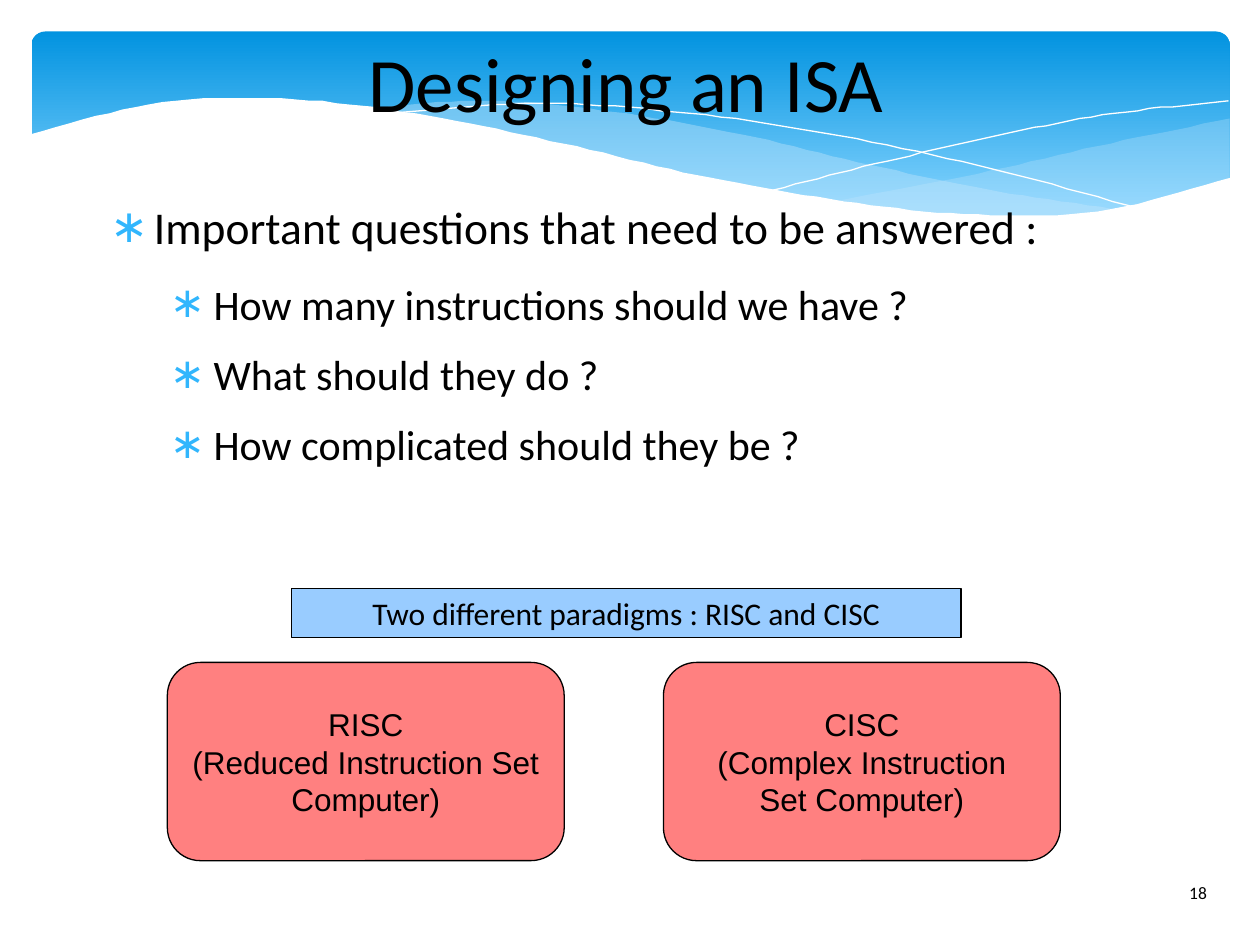
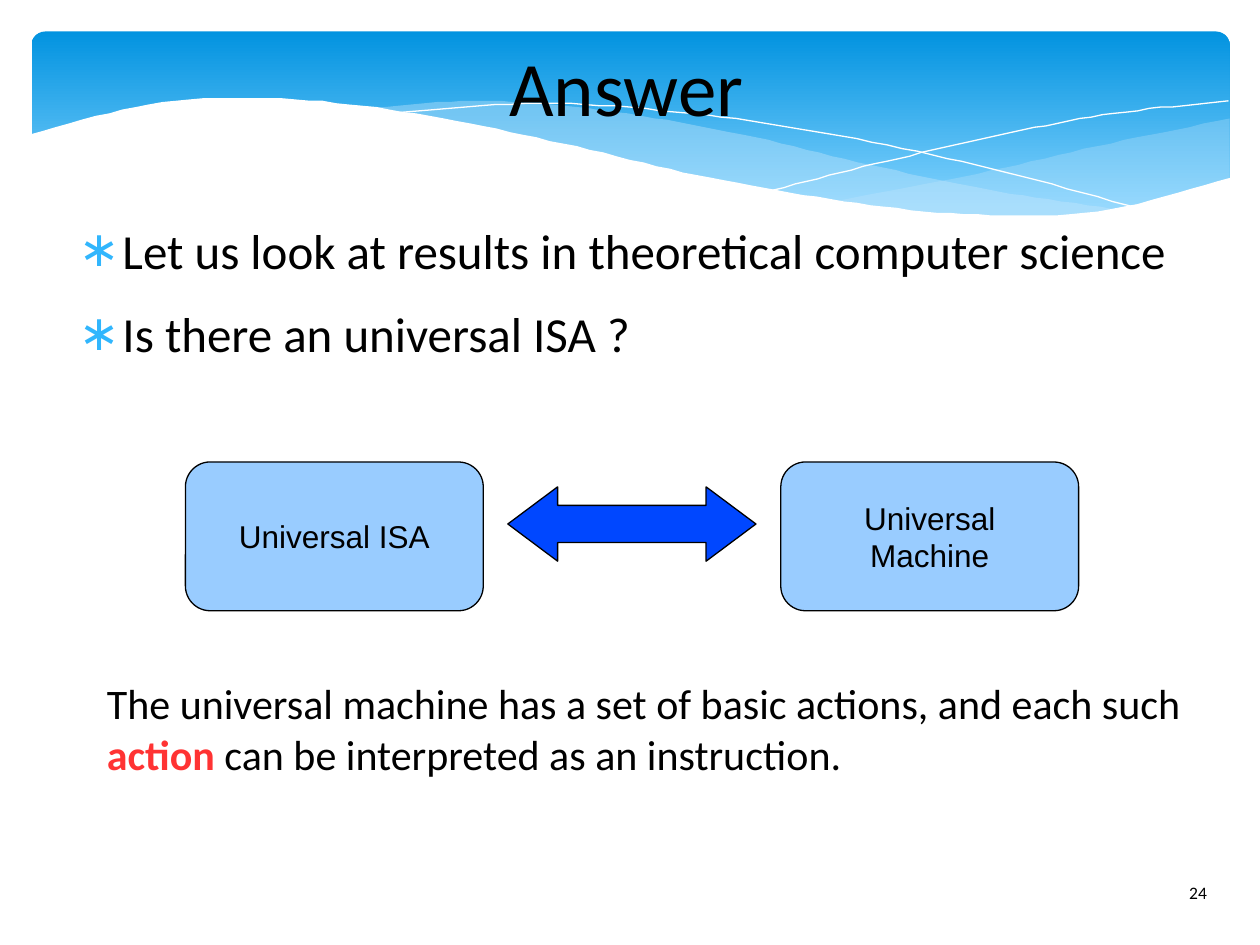
"""Build two lecture slides on instruction set design with a shared wave header."""
from dataclasses import dataclass
from typing import Any, Optional

from lxml import etree
from pptx import Presentation
from pptx.dml.color import RGBColor
from pptx.enum.shapes import MSO_SHAPE
from pptx.enum.text import MSO_ANCHOR, MSO_AUTO_SIZE, PP_ALIGN
from pptx.oxml.ns import qn
from pptx.util import Pt

BLACK = RGBColor(0x00, 0x00, 0x00)
WHITE = RGBColor(0xFF, 0xFF, 0xFF)
BAND_TOP = RGBColor(0x02, 0x93, 0xE0)
BAND_BOTTOM = RGBColor(0x83, 0xD3, 0xFE)
WAVE = RGBColor(0xC6, 0xE7, 0xFC)
BULLET = RGBColor(0x31, 0xB6, 0xFD)
PALE_BLUE = RGBColor(0x99, 0xCC, 0xFF)
SALMON = RGBColor(0xFF, 0x80, 0x80)
ARROW_BLUE = RGBColor(0x00, 0x47, 0xFF)
RED = RGBColor(0xFF, 0x33, 0x33)

HEADING_FONT = "Calibri"
BOX_FONT = "Arial"
HAIRLINE = Pt(0)
WAVE_UNIT = Pt(0.72)
CURVE_STEPS = 10
NO_INSETS = (0, 0, 0, 0)
INSETS = (7.2, 3.6, 7.2, 3.6)


@dataclass(frozen=True)
class Frame:
    left: float
    top: float
    width: float
    height: float

    def lengths(self) -> tuple[Pt, Pt, Pt, Pt]:
        return Pt(self.left), Pt(self.top), Pt(self.width), Pt(self.height)


@dataclass(frozen=True)
class Span:
    text: str
    color: RGBColor = BLACK
    bold: bool = False


@dataclass(frozen=True)
class Para:
    spans: tuple[Span, ...]
    size: float
    font: str = HEADING_FONT
    align: PP_ALIGN = PP_ALIGN.LEFT
    bullet_indent: Optional[float] = None
    space_after: float = 0


@dataclass(frozen=True)
class Wave:
    left: float
    right: float
    heights: tuple[float, ...]
    floor: Optional[float] = None
    fill: RGBColor = WHITE
    opacity: int = 100

    def points(self) -> list[tuple[float, float]]:
        heights = self.heights
        padded = (2 * heights[0] - heights[1], *heights,
                  2 * heights[-1] - heights[-2])
        count = (len(heights) - 1) * CURVE_STEPS
        points = []
        for step in range(count + 1):
            x = self.left + (self.right - self.left) * step / count
            knot = min(step // CURVE_STEPS, len(heights) - 2)
            before, start, end, after = padded[knot:knot + 4]
            t = step / CURVE_STEPS - knot
            bend = 2 * before - 5 * start + 4 * end - after
            twist = 3 * (start - end) + after - before
            y = start + t * (end - before + t * (bend + t * twist)) / 2
            points.append((x, y))
        if self.floor is not None:
            points += [(self.right, self.floor), (self.left, self.floor)]
        return points


WAVES = [
    Wave(661, 976, (160, 140, 116, 94), 172, WAVE, 29),
    Wave(286, 893, (86, 80, 89, 107, 131, 152, 167), 173, WAVE, 40),
    Wave(309, 907, (90, 82, 90, 108, 134, 166)),
    Wave(613, 975, (151, 128, 107, 90, 80)),
    Wave(23, 977, (107, 81, 79, 92, 114, 139, 158, 170, 168, 141), 224),
]


def set_all(target: Any, formats: dict[str, Any]) -> None:
    for name, value in formats.items():
        setattr(target, name, value)


def plain(text: str, size: float, **formats: Any) -> Para:
    return Para((Span(text),), size, **formats)


def bullet(text: str, size: float, level: int = 0) -> Para:
    return plain(text, size, bullet_indent=34 * (level + 1),
                 space_after=11.3 if level else 14.1)


def centred(text: str, size: float = 18, font: str = HEADING_FONT) -> Para:
    return plain(text, size, font=font, align=PP_ALIGN.CENTER)


def add_bullet(para: Any, indent: float) -> None:
    properties = para._p.get_or_add_pPr()
    properties.set("marL", str(Pt(indent)))
    properties.set("indent", str(Pt(-25)))
    color = etree.SubElement(properties, qn("a:buClr"))
    etree.SubElement(color, qn("a:srgbClr"), val=str(BULLET))
    etree.SubElement(properties, qn("a:buFont"), typeface=HEADING_FONT)
    etree.SubElement(properties, qn("a:buChar"), char="∗")


def write(box: Any, paras: list[Para], insets: tuple[float, ...] = INSETS,
          anchor: MSO_ANCHOR = MSO_ANCHOR.TOP) -> None:
    frame = box.text_frame
    left, top, right, bottom = map(Pt, insets)
    set_all(frame, {"word_wrap": True, "auto_size": MSO_AUTO_SIZE.NONE,
                    "vertical_anchor": anchor, "margin_left": left,
                    "margin_top": top, "margin_right": right, "margin_bottom": bottom})
    for index, content in enumerate(paras):
        para = frame.add_paragraph() if index else frame.paragraphs[0]
        set_all(para, {"alignment": content.align, "space_before": Pt(0),
                       "space_after": Pt(content.space_after)})
        if content.bullet_indent is not None:
            add_bullet(para, content.bullet_indent)
        for span in content.spans:
            run = para.add_run()
            run.text = span.text
            set_all(run.font, {"name": content.font, "size": Pt(content.size),
                               "bold": span.bold})
            run.font.color.rgb = span.color


def add_text(page: Any, frame: Frame, paras: list[Para],
             insets: tuple[float, ...] = INSETS) -> None:
    write(page.shapes.add_textbox(*frame.lengths()), paras, insets)


def add_box(page: Any, kind: MSO_SHAPE, frame: Frame, fill: RGBColor,
            paras: Optional[list[Para]] = None) -> Any:
    box = page.shapes.add_shape(kind, *frame.lengths())
    box.shadow.inherit = False
    box.fill.solid()
    box.fill.fore_color.rgb = fill
    box.line.color.rgb = BLACK
    box.line.width = HAIRLINE
    if paras:
        write(box, paras, anchor=MSO_ANCHOR.MIDDLE)
    return box


def add_wave(page: Any, wave: Wave) -> Any:
    start, *rest = wave.points()
    closed = wave.floor is not None
    builder = page.shapes.build_freeform(*start, scale=WAVE_UNIT)
    builder.add_line_segments(rest, close=closed)
    shape = builder.convert_to_shape()
    shape.shadow.inherit = False
    if not closed:
        shape.fill.background()
        shape.line.color.rgb = wave.fill
        shape.line.width = HAIRLINE
        return shape
    shape.fill.solid()
    shape.fill.fore_color.rgb = wave.fill
    shape.line.fill.background()
    if wave.opacity < 100:
        color = shape.element.spPr.find(f".//{qn('a:srgbClr')}")
        etree.SubElement(color, qn("a:alpha"), val=str(wave.opacity * 1000))
    return shape


def add_band(page: Any) -> Any:
    band = page.shapes.add_shape(MSO_SHAPE.ROUNDED_RECTANGLE,
                                 *Frame(18, 18, 684.7, 112.3).lengths())
    band.adjustments[0] = 0.07
    band.shadow.inherit = False
    band.line.fill.background()
    band.fill.gradient()
    band.fill.gradient_angle = 270
    stops = zip(band.fill.gradient_stops, (BAND_TOP, BAND_BOTTOM), (0, 0.9))
    for stop, color, position in stops:
        stop.color.rgb = color
        stop.position = position
    return band


def move_header_to_layout(page: Any, layout: Any) -> None:
    header = [add_band(page)] + [add_wave(page, wave) for wave in WAVES]
    for index, shape in enumerate(header):
        shape.element.nvSpPr.cNvPr.set("id", str(100 + index))
        layout.shapes.element.insert(2 + index, shape.element)


def add_page(deck: Any, title: str, title_top: float, number: int) -> Any:
    page = deck.slides.add_slide(deck.slide_layouts[5])
    left, top, width, height = Frame(66, title_top, 584, 73.4).lengths()
    set_all(page.shapes.title, {"left": left, "top": top,
                                "width": width, "height": height})
    write(page.shapes.title, [centred(title, 44)], NO_INSETS, MSO_ANCHOR.MIDDLE)
    add_text(page, Frame(672.5, 500.4, 44, 28.8), [plain(str(number), 10)])
    return page


def build_design_page(deck: Any) -> Any:
    page = add_page(deck, "Designing an ISA", 10, 18)
    questions = ["How many instructions should we have ?",
                 "What should they do ?",
                 "How complicated should they be ?"]
    add_text(page, Frame(54, 113.8, 569.5, 185.8),
             [bullet("Important questions that need to be answered :", 26)]
             + [bullet(question, 24, 1) for question in questions], NO_INSETS)
    add_box(page, MSO_SHAPE.RECTANGLE, Frame(166.5, 336.2, 382.7, 28.2), PALE_BLUE,
            [centred("Two different paradigms : RISC and CISC")])
    paradigms = [("RISC", "(Reduced Instruction Set", "Computer)"),
                 ("CISC", "(Complex Instruction", "Set Computer)")]
    for index, lines in enumerate(paradigms):
        add_box(page, MSO_SHAPE.ROUNDED_RECTANGLE,
                Frame(95.6 + 283.5 * index, 378.5, 226.8, 113.3), SALMON,
                [centred(line, font=BOX_FONT) for line in lines])
    return page


def build_answer_page(deck: Any) -> Any:
    page = add_page(deck, "Answer", 12.2, 24)
    add_text(page, Frame(36, 126, 660, 115),
             [bullet("Let us look at results in theoretical computer science", 28),
              bullet("Is there an universal ISA ?", 28)], NO_INSETS)
    for index, label in enumerate(["Universal ISA", "Universal Machine"]):
        add_box(page, MSO_SHAPE.ROUNDED_RECTANGLE,
                Frame(106 + 340.2 * index, 264, 170.2, 85), PALE_BLUE,
                [centred(label, font=BOX_FONT)])
    arrow = add_box(page, MSO_SHAPE.LEFT_RIGHT_ARROW,
                    Frame(290.2, 278.2, 141.8, 42.5), ARROW_BLUE)
    arrow.adjustments[0] = 0.5
    arrow.adjustments[1] = 0.67
    conclusion = (Span("action", RED, True),
                  Span(" can be interpreted as an instruction."))
    add_text(page, Frame(54, 383.8, 634.3, 66.2),
             [plain("The universal machine has a set of basic actions, and each such", 24),
              Para(conclusion, 24)])
    return page


def main() -> None:
    deck = Presentation()
    set_all(deck, {"slide_width": Pt(720), "slide_height": Pt(540)})
    page = build_design_page(deck)
    move_header_to_layout(page, page.slide_layout)
    build_answer_page(deck)
    deck.save("out.pptx")


if __name__ == "__main__":
    main()
